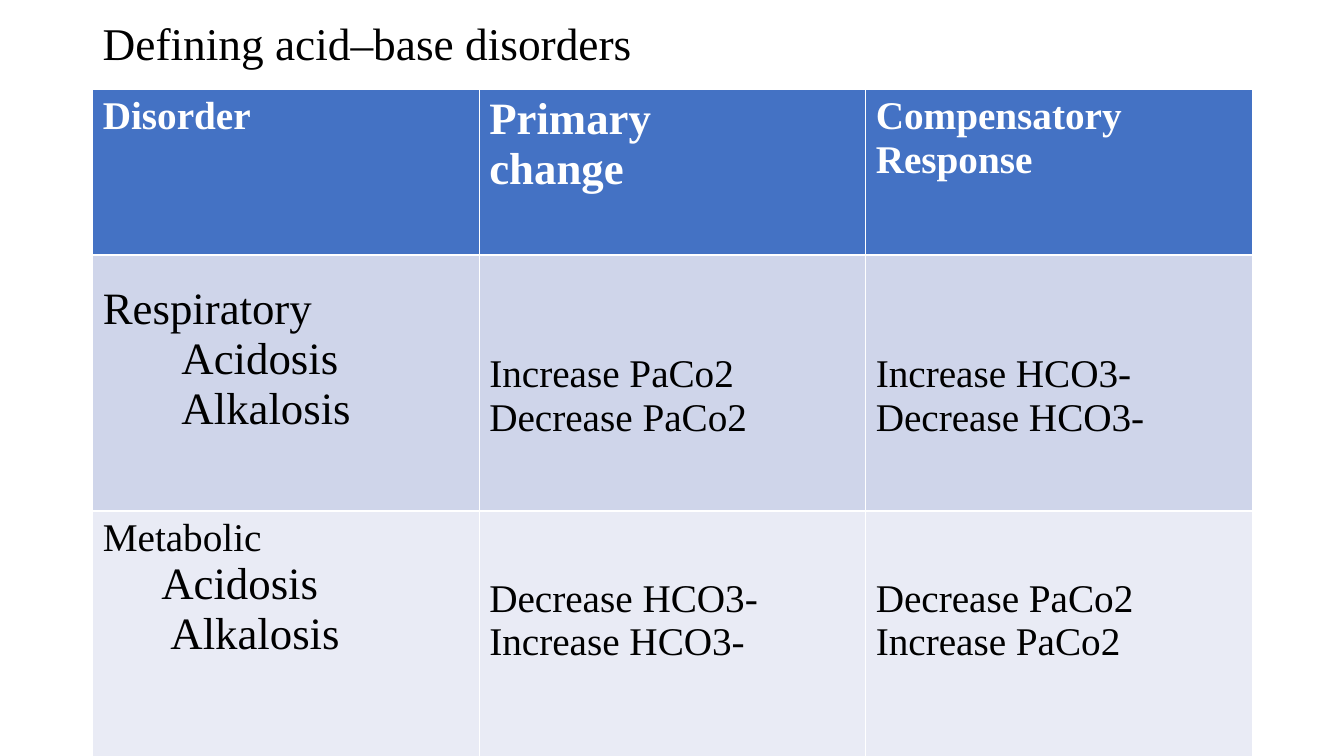
from pptx import Presentation
from pptx.dml.color import RGBColor
from pptx.enum.text import MSO_ANCHOR
from pptx.util import Pt

MIDDLE = MSO_ANCHOR.MIDDLE
BLACK = RGBColor(0x00, 0x00, 0x00)
WHITE = RGBColor(0xFF, 0xFF, 0xFF)
BLUE = RGBColor(0x44, 0x72, 0xC4)
BAND_DARK = RGBColor(0xCF, 0xD5, 0xEA)
BAND_LIGHT = RGBColor(0xE9, 0xEB, 0xF5)
FONT = "Times New Roman"
PX = 9144  # 100 px to the inch


def px(n):
    return n * PX


def write(p, text, size, color, bold=False):
    r = p.add_run()
    r.text = text
    r.font.color.rgb = color
    for name, value in {"name": FONT, "size": Pt(size), "bold": bold}.items():
        setattr(r.font, name, value)


prs = Presentation()
prs.slide_width, prs.slide_height = px(1333), px(750)
s = prs.slides.add_slide(prs.slide_layouts[6])

# Title
tf = s.shapes.add_textbox(px(92), px(15), px(1150), px(60)).text_frame
tf.word_wrap = True
tf.vertical_anchor = MIDDLE
p = tf.paragraphs[0]
p.line_spacing = 0.9
write(p, "Defining acid–base disorders", 32.4, BLACK)

# Rows: height, fill, text colour, bold, cells
# Cell: top margin, lines of (text, size, indent)
rows = [
    (164, BLUE, WHITE, True, [
        (5, [("Disorder", 28, 0)]),
        (5, [("Primary", 32, 0), ("change", 32, 0)]),
        (5, [("Compensatory Response", 28, 0)]),
    ]),
    (254, BAND_DARK, BLACK, False, [
        (5, [("Respiratory", 32, 0), ("Acidosis", 32, 78), ("Alkalosis", 32, 78)]),
        (97, [("Increase PaCo2", 28, 0), ("Decrease PaCo2", 28, 0)]),
        (97, [("Increase HCO3-", 28, 0), ("Decrease HCO3-", 28, 0)]),
    ]),
    (270, BAND_LIGHT, BLACK, False, [
        (5, [("Metabolic", 28, 0), ("Acidosis", 32, 58), ("Alkalosis", 32, 67)]),
        (66, [("Decrease HCO3-", 28, 0), ("Increase HCO3-", 28, 0)]),
        (66, [("Decrease PaCo2", 28, 0), ("Increase PaCo2", 28, 0)]),
    ]),
]

# Table
height = sum(row[0] for row in rows)
table = s.shapes.add_table(3, 3, px(92), px(89), px(1150), px(height)).table
for i, (row_height, fill, color, bold, cells) in enumerate(rows):
    table.rows[i].height = px(row_height)
    for j, (top, lines) in enumerate(cells):
        cell = table.cell(i, j)
        cell.margin_top = px(top)
        cell.fill.solid()
        cell.fill.fore_color.rgb = fill
        tf = cell.text_frame
        for k, (text, size, indent) in enumerate(lines):
            p = tf.add_paragraph() if k else tf.paragraphs[0]
            if indent:
                p._p.get_or_add_pPr().set("marL", str(px(indent)))
            write(p, text, size, color, bold)

# The respiratory heading stands lower in its cell
table.cell(1, 0).text_frame.paragraphs[0].line_spacing = 1.5

prs.save("out.pptx")
